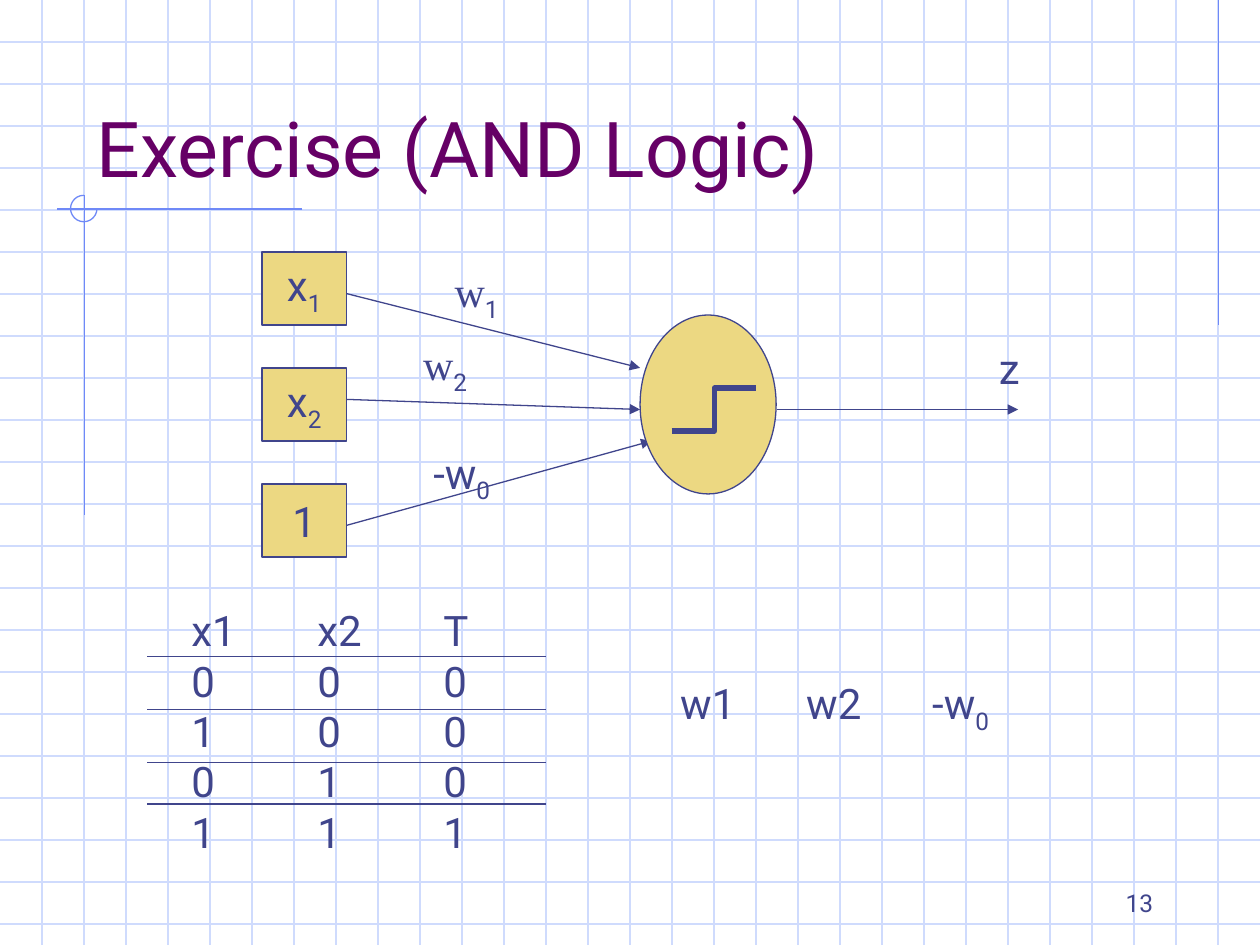
"""Build a slide with a two-input AND perceptron and its truth table."""
from dataclasses import dataclass

from lxml import etree
from pptx import Presentation
from pptx.dml.color import RGBColor
from pptx.enum.shapes import MSO_CONNECTOR, MSO_SHAPE
from pptx.enum.text import MSO_ANCHOR, PP_ALIGN
from pptx.oxml.ns import qn
from pptx.util import Inches, Pt

STRAIGHT = MSO_CONNECTOR.STRAIGHT
RECTANGLE, OVAL, ARC = MSO_SHAPE.RECTANGLE, MSO_SHAPE.OVAL, MSO_SHAPE.ARC
TOP, MIDDLE, BOTTOM = MSO_ANCHOR.TOP, MSO_ANCHOR.MIDDLE, MSO_ANCHOR.BOTTOM
LEFT, CENTER, RIGHT = PP_ALIGN.LEFT, PP_ALIGN.CENTER, PP_ALIGN.RIGHT


@dataclass(frozen=True)
class Theme:
    ink: RGBColor = RGBColor(0x40, 0x45, 0x8C)
    title: RGBColor = RGBColor(0x66, 0x00, 0x66)
    node: RGBColor = RGBColor(0xEC, 0xD8, 0x82)
    grid: RGBColor = RGBColor(0xCF, 0xDB, 0xFD)
    accent: RGBColor = RGBColor(0x6F, 0x89, 0xF7)
    sans: str = "Roboto"
    serif: str = "Times New Roman"
    title_size: int = 44
    body_size: int = 24
    number_size: int = 14
    thin: float = 0.75
    thick: float = 3


theme = Theme()
presentation = Presentation()
presentation.slide_width, presentation.slide_height = Inches(10), Inches(7.5)
slide = presentation.slides.add_slide(presentation.slide_layouts[6])
shapes = slide.shapes


def add_line(start, end, color=theme.ink, arrow=False):
    line = shapes.add_connector(STRAIGHT, *(Inches(value) for value in (*start, *end)))
    line.line.color.rgb = color
    line.line.width = Pt(theme.thin)
    properties = line._element.spPr
    if arrow:
        etree.SubElement(properties.find(qn("a:ln")), qn("a:tailEnd"), type="triangle")
    etree.SubElement(properties, qn("a:effectLst"))


def write_text(shape, rows, size=theme.body_size, color=theme.ink, first_font=theme.sans,
               anchor=TOP, align=LEFT, wrap=False):
    """Write rows of (text, subscript) pairs, with tab stops at every inch."""
    frame = shape.text_frame
    frame.word_wrap = wrap
    frame.vertical_anchor = anchor
    for index, (text, subscript) in enumerate(rows):
        paragraph = frame.add_paragraph() if index else frame.paragraphs[0]
        paragraph.alignment = align
        if "\t" in text:
            tabs = etree.SubElement(paragraph._p.get_or_add_pPr(), qn("a:tabLst"))
            for stop in range(1, text.count("\t") + 1):
                etree.SubElement(tabs, qn("a:tab"), pos=str(Inches(stop)), algn="l")
        for content, font, baseline in ((text, first_font, 0), (subscript, theme.sans, -25000)):
            if not content:
                continue
            run = paragraph.add_run()
            run.text = content
            run.font.name = font
            run.font.size = Pt(size)
            run.font.color.rgb = color
            if baseline:
                run._r.get_or_add_rPr().set("baseline", str(baseline))


for step in range(1, 23):
    add_line((0, step / 3), (10, step / 3), theme.grid)
for step in range(1, 30):
    add_line((step / 3, 0), (step / 3, 7.5), theme.grid)

for start, end in (((9.67, 0), (9.67, 2.58)), ((2.4, 1.66), (0.45, 1.66)),
                   ((0.67, 1.55), (0.67, 4.09))):
    add_line(start, end, theme.accent)
corner = shapes.add_shape(ARC, Inches(0.56), Inches(1.55), Inches(0.21), Inches(0.21))
corner.shadow.inherit = False
corner.adjustments[0], corner.adjustments[1] = 0, 162
corner.fill.background()
corner.line.color.rgb = theme.accent
corner.line.width = Pt(theme.thin)

number = shapes.add_textbox(Inches(7.17), Inches(6.83), Inches(2.08), Inches(0.5))
write_text(number, [("13", "")], theme.number_size, anchor=BOTTOM, align=RIGHT, wrap=True)
title = shapes.add_textbox(Inches(0.67), Inches(0.33), Inches(8.5), Inches(1.25))
write_text(title, [("Exercise (AND Logic)", "")], theme.title_size, theme.title,
           anchor=BOTTOM, wrap=True)

for start, end in (((2.75, 2.33), (5.08, 2.92)), ((2.75, 3.17), (5.08, 3.25)),
                   ((2.75, 4.17), (5.17, 3.5)), ((6.17, 3.25), (8.08, 3.25))):
    add_line(start, end, arrow=True)

inputs = (("x", "1"), ("x", "2"), ("1", ""))
nodes = [(RECTANGLE, 2.08, 2 + row * 0.92, 0.67, 0.58, label)
         for row, label in enumerate(inputs)]
nodes.append((OVAL, 5.08, 2.5, 1.08, 1.42, ("", "")))
for kind, left, top, width, height, label in nodes:
    node = shapes.add_shape(kind, Inches(left), Inches(top), Inches(width), Inches(height))
    node.shadow.inherit = False
    node.fill.solid()
    node.fill.fore_color.rgb = theme.node
    node.line.color.rgb = theme.ink
    node.line.width = Pt(theme.thin)
    write_text(node, [label], anchor=MIDDLE, align=CENTER)

builder = shapes.build_freeform(Inches(5.33), Inches(3.42))
builder.add_line_segments(
    [(Inches(x), Inches(y)) for x, y in ((5.67, 3.42), (5.67, 3.08), (6, 3.08))], close=False)
threshold = builder.convert_to_shape()
threshold.shadow.inherit = False
threshold.fill.background()
threshold.line.color.rgb = theme.ink
threshold.line.width = Pt(theme.thick)

for y in (5.21, 5.63, 6.05, 6.38):
    add_line((1.17, y), (4.33, y))

truth_rows = [("x1\tx2\tT", "")]
truth_rows += [(f"{x1}\t{x2}\t{x1 & x2}", "") for x2 in (0, 1) for x1 in (0, 1)]
labels = (
    (3.51, 2.06, 0.55, 0.56, theme.serif, [("w", "1")]),
    (3.26, 2.64, 0.55, 0.56, theme.serif, [("w", "2")]),
    (3.34, 3.5, 0.68, 0.56, theme.sans, [("-w", "0")]),
    (7.83, 2.67, 0.35, 0.5, theme.sans, [("z", "")]),
    (1.42, 4.75, 2.65, 2.1, theme.sans, truth_rows),
    (5.3, 5.33, 2.68, 1.01, theme.sans, [("w1\tw2\t-w", "0")]),
)
for left, top, width, height, font, rows in labels:
    label_box = shapes.add_textbox(Inches(left), Inches(top), Inches(width), Inches(height))
    write_text(label_box, rows, first_font=font)

presentation.save("out.pptx")
